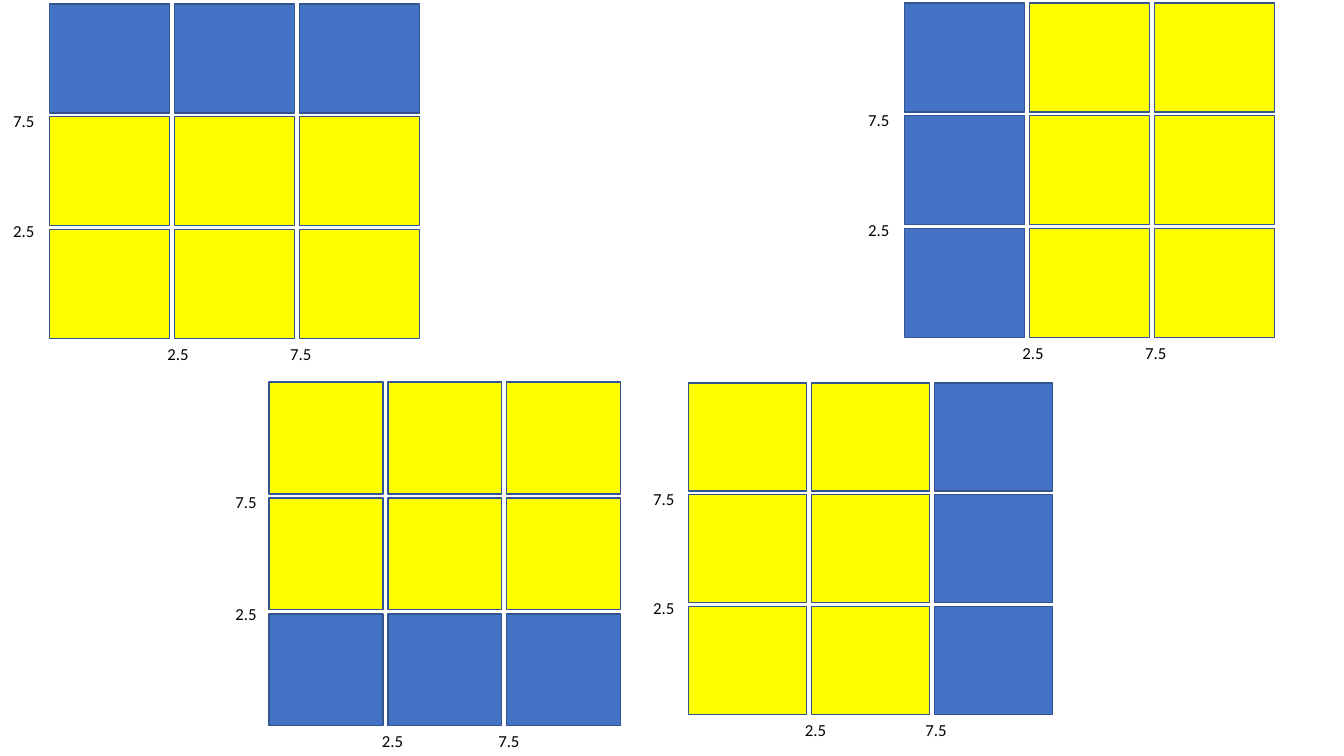
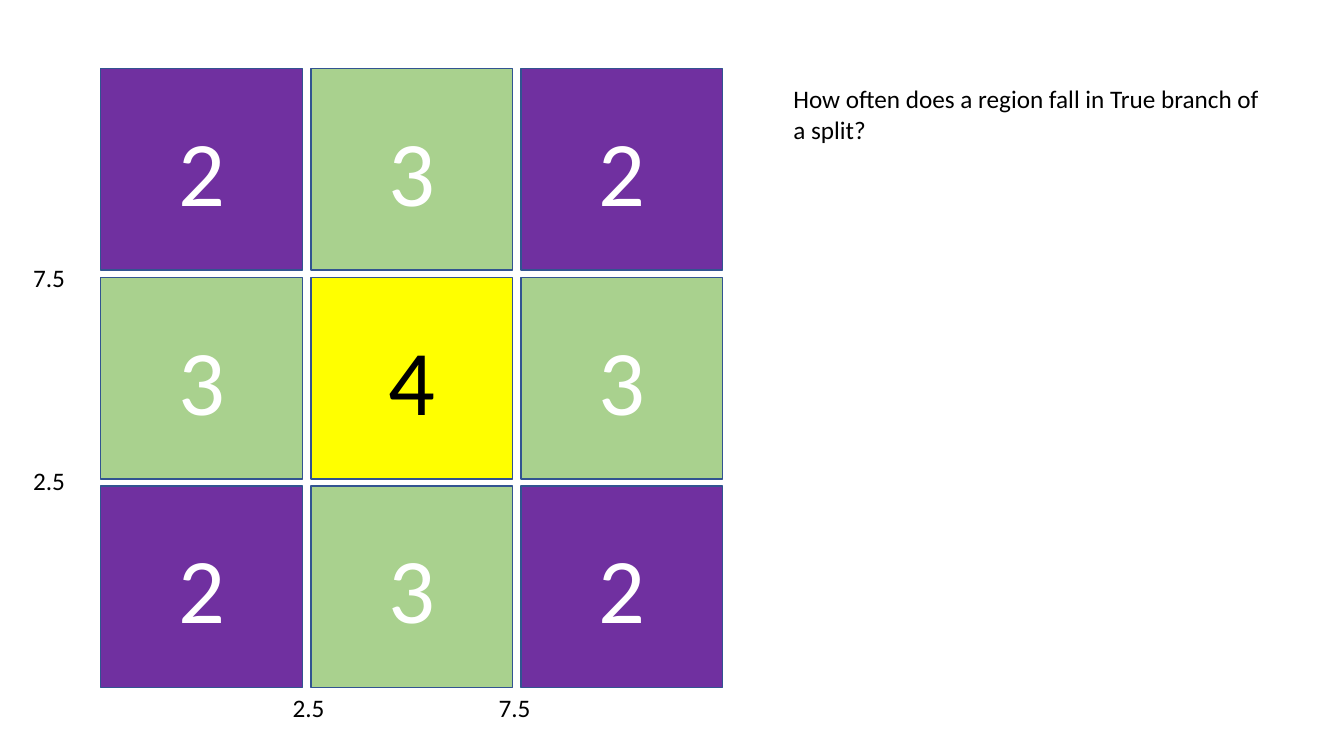
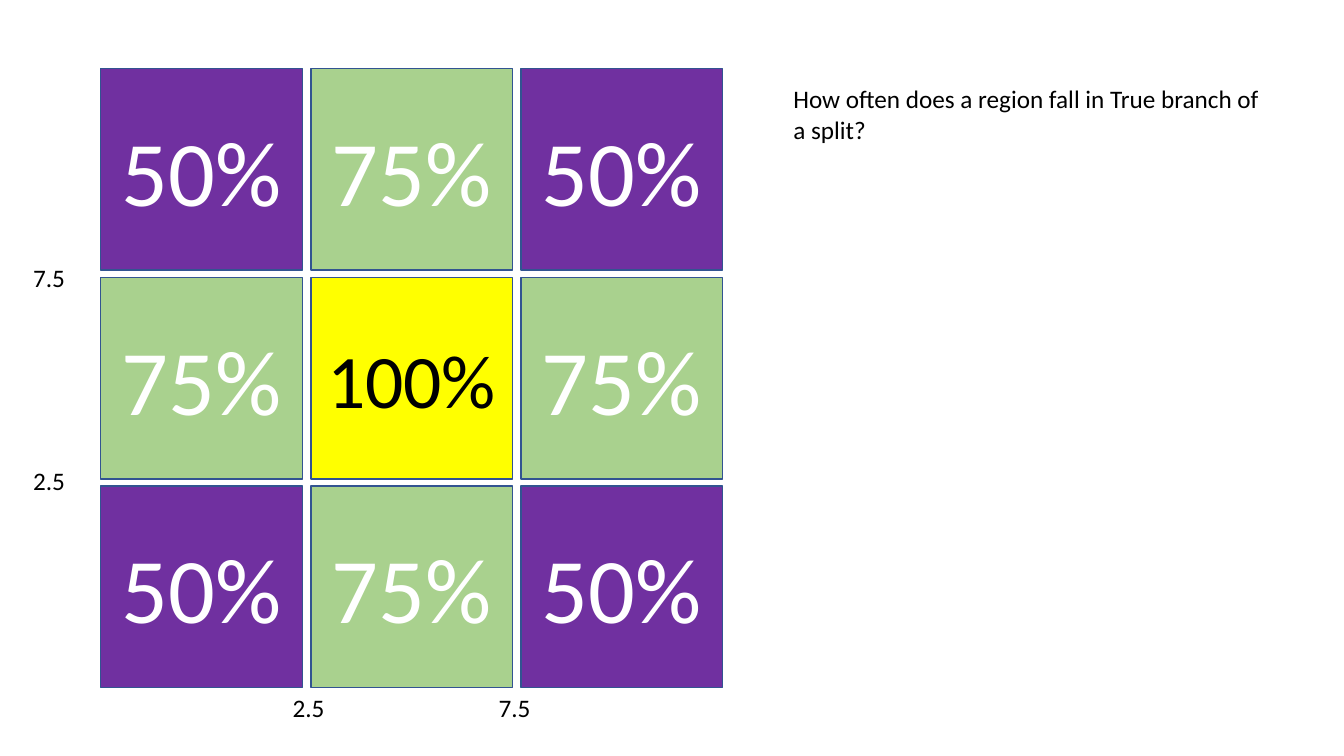
from dataclasses import dataclass
from pptx import Presentation
from pptx.dml.color import RGBColor
from pptx.enum.shapes import MSO_SHAPE
from pptx.enum.text import MSO_ANCHOR, MSO_AUTO_SIZE, PP_ALIGN
from pptx.util import Inches, Pt


@dataclass(frozen=True)
class Theme:
    font: str = "Calibri"
    ink: str = "000000"
    white: str = "FFFFFF"
    outline: str = "325491"
    blue: str = "4472C4"
    yellow: str = "FFFF00"
    purple: str = "7030A0"
    green: str = "A9D18E"
    small: int = 12
    body: int = 18
    number: int = 66
    long_number: int = 54


THEME = Theme()
FILLS = {"B": THEME.blue, "Y": THEME.yellow, "P": THEME.purple, "G": THEME.green}

# Split grids: left, top, cell width, cell height, colour letter of each cell by row
SPLITS = [
    (8.97, 0.03, 1.19, 1.08, ("BYY", "BYY", "BYY")),
    (0.49, 0.04, 1.19, 1.08, ("BBB", "YYY", "YYY")),
    (6.83, 3.80, 1.17, 1.07, ("YYB", "YYB", "YYB")),
    (2.67, 3.79, 1.13, 1.11, ("YYY", "YYY", "BBB")),
]
REGIONS = (1, 0.68, 2, 2, ("PGP", "GYG", "PGP"))
REGION_VALUES = [
    {"P": "2", "G": "3", "Y": "4"},
    {"P": "50%", "G": "75%", "Y": "100%"},
]
QUESTION = "How often does a region fall in True branch of a split?"

# Shares of one cell's width or height
COLUMN_GAP, ROW_GAP = 1 / 24, 1 / 28
LABEL_WIDTH, LABEL_HEIGHT = 0.385, 0.2
ROW_LABELS = [("7.5", 0.1), ("2.5", 0.13)]  # text, rise above the row's top
COLUMN_LABELS = [("2.5", 0.14), ("7.5", 0.16)]  # text, shift left of the column


def style(box, size, color):
    for para in box.text_frame.paragraphs:
        for span in para.runs:
            span.font.name = THEME.font
            span.font.size = Pt(size)
            span.font.color.rgb = RGBColor.from_string(color)


def add_text(shapes, text, left, top, width, height, size):
    box = shapes.add_textbox(*map(Inches, (left, top, width, height)))
    box.text_frame.word_wrap = True
    box.text_frame.auto_size = MSO_AUTO_SIZE.SHAPE_TO_FIT_TEXT
    box.text_frame.text = text
    style(box, size, THEME.ink)


def add_cell(shapes, letter, text, left, top, width, height):
    cell = shapes.add_shape(MSO_SHAPE.RECTANGLE, *map(Inches, (left, top, width, height)))
    cell.shadow.inherit = False
    cell.fill.solid()
    cell.fill.fore_color.rgb = RGBColor.from_string(FILLS[letter])
    cell.line.color.rgb = RGBColor.from_string(THEME.outline)
    cell.line.width = Pt(1)
    if text:
        cell.text_frame.text = text
        cell.text_frame.vertical_anchor = MSO_ANCHOR.MIDDLE
        cell.text_frame.paragraphs[0].alignment = PP_ALIGN.CENTER
        size = THEME.long_number if len(text) > 3 else THEME.number
        style(cell, size, THEME.ink if letter == "Y" else THEME.white)


def add_grid(shapes, grid, label_size, values=None):
    """Draw the cells, then the thresholds left of and below them."""
    left, top, width, height, rows = grid
    lefts = [left + column * width * (1 + COLUMN_GAP) for column in range(3)]
    tops = [top + row * height * (1 + ROW_GAP) for row in range(3)]
    for cell_top, letters in zip(tops, rows):
        for cell_left, letter in zip(lefts, letters):
            text = values[letter] if values else ""
            add_cell(shapes, letter, text, cell_left, cell_top, width, height)

    label_width, label_height = LABEL_WIDTH * width, LABEL_HEIGHT * height
    places = [(text, left - label_width, row_top - rise * height)
              for row_top, (text, rise) in zip(tops[1:], ROW_LABELS)]
    places += [(text, column_left - shift * width, tops[-1] + height)
               for column_left, (text, shift) in zip(lefts[1:], COLUMN_LABELS)]
    for text, label_left, label_top in places:
        add_text(shapes, text, label_left, label_top, label_width, label_height, label_size)


def main():
    deck = Presentation()
    deck.slide_width, deck.slide_height = Inches(13.33), Inches(7.5)
    blank = deck.slide_layouts[6]

    page = deck.slides.add_slide(blank)
    for grid in SPLITS:
        add_grid(page.shapes.add_group_shape().shapes, grid, THEME.small)

    for values in REGION_VALUES:
        page = deck.slides.add_slide(blank)
        add_grid(page.shapes, REGIONS, THEME.body, values)
        add_text(page.shapes, QUESTION, 7.77, 0.78, 4.95, 1.01, THEME.body)

    deck.save("out.pptx")


if __name__ == "__main__":
    main()
